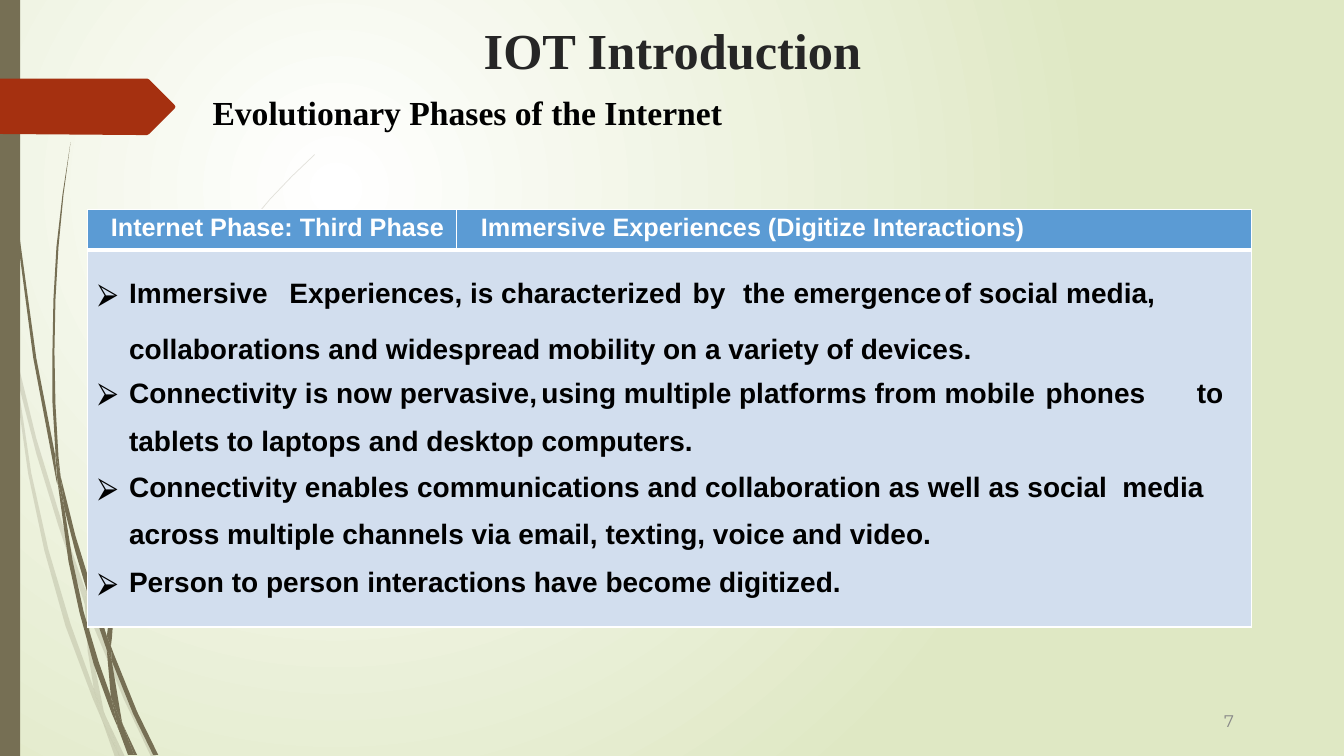
from dataclasses import dataclass
from lxml.etree import SubElement
from pptx import Presentation
from pptx.dml.color import RGBColor
from pptx.enum.shapes import MSO_SHAPE
from pptx.enum.text import MSO_AUTO_SIZE, MSO_ANCHOR, PP_ALIGN
from pptx.oxml.ns import qn
from pptx.util import Inches, Pt


@dataclass(frozen=True)
class Theme:
    glow: str = "FFFFFF"
    sage: str = "DFE8C4"
    stem: str = "766F54"
    ribbon: str = "A53010"
    heading: str = "262626"
    ink: str = "000000"
    muted: str = "888888"
    header: str = "5B9BD4"
    cell: str = "D2DEEE"
    serif: str = "Times New Roman"
    sans: str = "Arial"
    number: str = "Montserrat"
    title_size: int = 36
    subtitle_size: int = 24
    list_size: int = 20
    header_size: int = 18
    number_size: int = 12


PALE_STEMS = [
    [(0.11, 3.5), (0.09, 3.22), (0, 2.82), (0, 2.99), (0.1, 3.44)],
    [(0.58, 5.22), (0.84, 5.99), (0.85, 5.86), (0.62, 5.2), (0.36, 4.35), (0.14, 3.45),
     (0.17, 3.76), (0.36, 4.5)],
    [(0.92, 6.07), (0.88, 5.96), (0.88, 6.1), (1.23, 6.94), (1.5, 7.51), (1.55, 7.51),
     (1.27, 6.92)],
    [(1.19, 7.51), (1.24, 7.51), (1.05, 7.11)],
    [(0.93, 6.83), (0.7, 6.19), (0.48, 5.45), (0.31, 4.69), (0.17, 3.76), (0.11, 3.5),
     (0.28, 4.7), (0.44, 5.46), (0.65, 6.21), (0.92, 6.93), (1.01, 7.14), (0.99, 7.07)],
    [(0.84, 5.99), (0.87, 6.46), (0.93, 6.83), (0.96, 6.92), (1.05, 7.11), (1.03, 7.06),
     (0.91, 6.46), (0.88, 6.1), (0.88, 6.08)],
    [(0.88, 5.84), (0.95, 5.22), (1.1, 4.62), (1.33, 4.04), (1.6, 3.49), (1.93, 2.95),
     (2.29, 2.45), (2.68, 1.98), (2.9, 1.75), (3.12, 1.54), (3.12, 1.53), (2.89, 1.75),
     (2.68, 1.97), (2.28, 2.44), (1.91, 2.94), (1.58, 3.48), (1.3, 4.03), (1.07, 4.61),
     (0.92, 5.22), (0.85, 5.84), (0.85, 5.86), (0.88, 5.96)],
    [(1.01, 7.14), (1.14, 7.51), (1.19, 7.51)],
    [(0.88, 6.08), (0.88, 6.1), (0.88, 5.96), (0.85, 5.86), (0.84, 5.99)],
    [(0.96, 6.92), (0.93, 6.83), (0.99, 7.07), (1.01, 7.14), (1.19, 7.51), (1.05, 7.11)],
]
DARK_STEMS = [
    [(0.07, 1.1), (0.17, 2.33), (0.33, 3.55), (0.56, 4.77), (0.57, 4.81), (0.55, 4.57),
     (0.55, 4.53), (0.36, 3.55), (0.19, 2.32), (0.08, 1.09), (0.05, 0.48), (0.04, 0),
     (0.03, 0), (0.04, 0.48)],
    [(0.88, 5.92), (1.06, 6.45), (1.06, 6.31), (0.93, 5.9), (0.75, 5.32), (0.6, 4.72),
     (0.64, 5.05), (0.75, 5.48)],
    [(1.13, 6.49), (1.1, 6.41), (1.11, 6.56), (1.32, 7.08), (1.52, 7.49), (1.57, 7.49),
     (1.36, 7.06)],
    [(1.1, 6.91), (0.98, 6.57), (0.83, 6.07), (0.72, 5.56), (0.64, 5.05), (0.57, 4.77),
     (0.68, 5.57), (0.79, 6.08), (0.93, 6.59), (1.11, 7.08), (1.17, 7.22), (1.16, 7.17)],
    [(0.6, 4.72), (0.58, 4.53), (0.55, 4.01), (0.54, 3.49), (0.55, 2.97), (0.58, 2.45),
     (0.63, 1.93), (0.7, 1.41), (0.62, 1.93), (0.56, 2.45), (0.53, 2.97), (0.52, 3.49),
     (0.52, 3.99), (0.55, 4.49)],
    [(1.33, 7.49), (1.36, 7.49), (1.22, 7.19)],
    [(0.57, 4.77), (0.64, 5.05), (0.6, 4.72), (0.55, 4.49), (0.55, 4.53)],
    [(1.11, 6.33), (1.14, 5.92), (1.25, 5.52), (1.4, 5.13), (1.58, 4.76), (1.8, 4.4),
     (2.05, 4.06), (2.31, 3.74), (2.45, 3.59), (2.61, 3.44), (2.6, 3.44), (2.45, 3.58),
     (2.31, 3.73), (2.04, 4.05), (1.78, 4.39), (1.56, 4.74), (1.37, 5.12), (1.22, 5.51),
     (1.11, 5.91), (1.06, 6.31), (1.1, 6.41)],
    [(1.17, 7.22), (1.27, 7.49), (1.31, 7.49)],
    [(1.06, 6.45), (1.1, 6.91), (1.16, 7.06), (1.22, 7.19), (1.21, 7.16), (1.11, 6.56),
     (1.09, 6.51)],
    [(1.06, 6.45), (1.09, 6.51), (1.11, 6.56), (1.1, 6.41), (1.06, 6.31)],
    [(1.16, 7.06), (1.1, 6.91), (1.16, 7.17), (1.17, 7.22), (1.3, 7.49), (1.33, 7.49),
     (1.22, 7.19)],
]
RIBBON = [(1.74, 1.06), (1.73, 1.08), (1.48, 1.33), (1.46, 1.34), (1.36, 1.34), (0, 1.33),
          (0, 0.78), (1.46, 0.78), (1.48, 0.79), (1.73, 1.04)]
HEADERS = [("Internet Phase: Third Phase", 0.23),
           ("Immersive Experiences (Digitize Interactions)", 0.24)]
POINTS = [
    ("Immersive\tExperiences, is characterized\tby\tthe\temergence\tof social media,  "
     "collaborations and widespread mobility on a variety of devices.", True, 1.8, 0),
    ("Connectivity is now pervasive,\tusing multiple platforms from\tmobile\tphones \tto",
     True, 1, 8.8),
    ("tablets to laptops and desktop computers.", False, 1, 12),
    ("Connectivity enables communications and collaboration as well as social  media "
     "across multiple channels via email, texting, voice and video.", True, 1.5, 0),
    ("Person to person interactions have become digitized.", True, 1, 12.1),
]


class PhaseSlide:
    def __init__(self, deck, theme):
        self.theme = theme
        self.page = deck.slides.add_slide(deck.slide_layouts[5])

    def background(self):
        fill = self.page.background.fill
        fill.gradient()
        for stop, color in zip(fill.gradient_stops, (self.theme.glow, self.theme.sage)):
            stop.color.rgb = RGBColor.from_string(color)
        gradient = self.page.background._cSld.find(".//" + qn("a:gradFill"))
        linear = gradient.find(qn("a:lin"))
        circle = SubElement(gradient, qn("a:path"), path="circle")
        SubElement(circle, qn("a:fillToRect"), l="50000", t="50000", r="100000", b="100000")
        gradient.replace(linear, circle)

    def paint(self, shape, color, opacity=100):
        shape.shadow.inherit = False
        shape.fill.solid()
        shape.fill.fore_color.rgb = RGBColor.from_string(color)
        shape.line.fill.background()
        if opacity < 100:
            tint = shape.fill._xPr.find(".//" + qn("a:srgbClr"))
            SubElement(tint, qn("a:alpha"), val=str(opacity * 1000))

    def outline(self, shapes, points, color, opacity=100):
        start, *rest = [(Inches(x), Inches(y)) for x, y in points]
        builder = shapes.build_freeform(*start)
        builder.add_line_segments(rest)
        self.paint(builder.convert_to_shape(), color, opacity)

    def stems(self, outlines, opacity):
        group = self.page.shapes.add_group_shape()
        for points in outlines:
            self.outline(group.shapes, points, self.theme.stem, opacity)

    def bar(self, left, top, width, height, color):
        box = self.page.shapes.add_shape(
            MSO_SHAPE.RECTANGLE, Inches(left), Inches(top), Inches(width), Inches(height))
        self.paint(box, color)

    def style(self, para, font, size, color, bold=True):
        for span in para.runs:
            span.font.name, span.font.size, span.font.bold = font, Pt(size), bold
            span.font.color.rgb = RGBColor.from_string(color)

    def title(self, text):
        box = self.page.shapes.title
        box.left, box.top, box.width, box.height = map(Inches, (0.92, 0.12, 11.5, 0.74))
        frame = box.text_frame
        frame.text = text
        frame.auto_size = MSO_AUTO_SIZE.NONE
        frame.vertical_anchor = MSO_ANCHOR.MIDDLE
        frame.paragraphs[0].alignment = PP_ALIGN.CENTER
        self.style(frame.paragraphs[0], self.theme.serif, self.theme.title_size,
                   self.theme.heading)

    def label(self, text, place, font, size, color, bold=True):
        frame = self.page.shapes.add_textbox(*map(Inches, place)).text_frame
        frame.word_wrap = True
        frame.text = text
        self.style(frame.paragraphs[0], font, size, color, bold)
        return frame

    def indent(self, para, margin, first=0):
        properties = para._p.get_or_add_pPr()
        properties.set("marL", str(Inches(margin)))
        properties.set("indent", str(Inches(first)))
        properties.set("defTabSz", str(Inches(0.5)))
        return properties

    def dress(self, cell, color, top_inset, top_line, bottom_line):
        cell.margin_left = cell.margin_right = cell.margin_bottom = 0
        cell.margin_top = Inches(top_inset)
        cell.fill.solid()
        cell.fill.fore_color.rgb = RGBColor.from_string(color)
        properties = cell._tc.get_or_add_tcPr()
        widths = {"lnL": 1, "lnR": 1, "lnT": top_line, "lnB": bottom_line}
        for position, (side, width) in enumerate(widths.items()):
            line = SubElement(properties, qn("a:" + side), w=str(Pt(width)))
            SubElement(SubElement(line, qn("a:solidFill")), qn("a:srgbClr"),
                       val=self.theme.glow)
            properties.insert(position, line)

    def phase_table(self, headers, points):
        theme = self.theme
        table = self.page.shapes.add_table(
            2, 2, *map(Inches, (0.87, 2.08, 11.54, 4.14))).table
        for column, width in zip(table.columns, (3.66, 7.88)):
            column.width = Inches(width)
        for row, height in zip(table.rows, (0.4, 3.74)):
            row.height = Inches(height)
        for index, (text, margin) in enumerate(headers):
            cell = table.cell(0, index)
            cell.text_frame.text = text
            self.dress(cell, theme.header, 0.04, 1, 3)
            para = cell.text_frame.paragraphs[0]
            self.indent(para, margin)
            self.style(para, theme.sans, theme.header_size, theme.glow)
        body = table.cell(1, 0)
        body.merge(table.cell(1, 1))
        for cell in table.rows[1].cells:
            self.dress(cell, theme.cell, 0.03, 3, 1)
        body.text_frame.text = "\n".join(text for text, *_ in points)
        for para, (_, bullet, spacing, before) in zip(body.text_frame.paragraphs, points):
            para.line_spacing, para.space_before = float(spacing), Pt(before)
            properties = self.indent(para, 0.41, -0.31 if bullet else 0)
            if bullet:
                tint = SubElement(properties, qn("a:buClr"))
                SubElement(tint, qn("a:srgbClr"), val=theme.ink)
                SubElement(properties, qn("a:buFont"), typeface=theme.sans)
                SubElement(properties, qn("a:buChar"), char="⮚")
            self.style(para, theme.sans, theme.list_size, theme.ink)


def main():
    deck = Presentation()
    deck.slide_width, deck.slide_height = Inches(13.33), Inches(7.5)
    theme = Theme()
    slide = PhaseSlide(deck, theme)
    slide.background()
    slide.stems(PALE_STEMS, 20)
    slide.stems(DARK_STEMS, 100)
    slide.bar(0, 0, 0.2, 7.5, theme.stem)
    slide.outline(slide.page.shapes, RIBBON, theme.ribbon)
    slide.title("IOT Introduction")
    number = slide.label("7", (12.1, 7.02, 0.26, 0.25), theme.number, theme.number_size,
                         theme.muted, False)
    number.margin_left = number.margin_right = number.margin_bottom = 0
    number.margin_top = Inches(0.03)
    slide.indent(number.paragraphs[0], 0.04)
    slide.label("Evolutionary Phases of the Internet", (2.01, 0.86, 6.67, 0.81),
                theme.serif, theme.subtitle_size, theme.ink)
    slide.phase_table(HEADERS, POINTS)
    deck.save("out.pptx")


if __name__ == "__main__":
    main()
